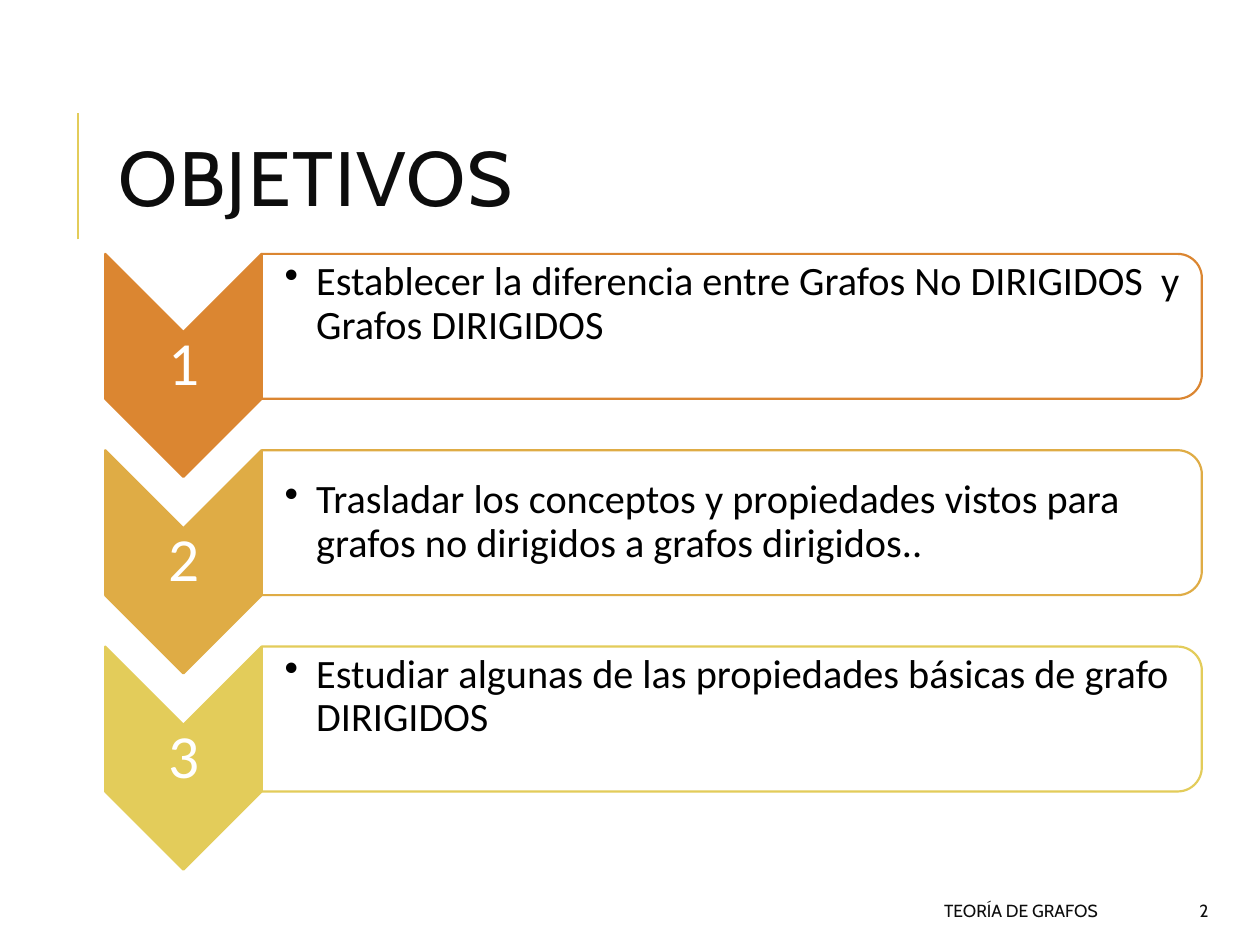
"""Build the slide of three numbered goals."""
import lxml.etree
import pptx
import pptx.dml.color
import pptx.enum.shapes
import pptx.enum.text
import pptx.oxml.ns
import pptx.util

Pt = pptx.util.Pt
Align = pptx.enum.text.PP_ALIGN
Anchor = pptx.enum.text.MSO_ANCHOR
Kind = pptx.enum.shapes.MSO_SHAPE

HUES = {"orange": "DB8631", "amber": "DFAC45", "yellow": "E3CC5A",
        "white": "FFFFFF", "ink": "0D0D0D", "black": "000000"}
GOALS = [
    ("orange", Anchor.TOP, "Establecer la diferencia entre Grafos No DIRIGIDOS  y Grafos DIRIGIDOS"),
    ("amber", Anchor.MIDDLE, "Trasladar los conceptos y propiedades vistos para grafos no dirigidos a grafos dirigidos.."),
    ("yellow", Anchor.TOP, "Estudiar algunas de las propiedades básicas de grafo DIRIGIDOS"),
]
PITCH = 112.2


def tint(name):
    """Return the named colour."""
    return pptx.dml.color.RGBColor.from_string(HUES[name])


def apply(target, values):
    """Set each attribute of the target from a dict."""
    for name, value in values.items():
        setattr(target, name, value)


def add_tag(parent, tag, **attrs):
    """Append a drawing element with its attributes."""
    return lxml.etree.SubElement(parent, pptx.oxml.ns.qn(tag), attrs)


def add_text(slide, box, text, font, hue, para, frame=None):
    """Add a text box with one paragraph and return the paragraph."""
    body = slide.shapes.add_textbox(*map(Pt, box)).text_frame
    apply(body, {"word_wrap": True, "vertical_anchor": Anchor.MIDDLE, **(frame or {})})
    line = body.paragraphs[0]
    line.text = text
    apply(line, para)
    run = line.runs[0].font
    apply(run, font)
    run.color.rgb = tint(hue)
    return line


def add_block(slide, kind, box, fill, edge):
    """Add a preset shape turned a quarter to the right."""
    block = slide.shapes.add_shape(kind, *map(Pt, box))
    block.rotation = 90
    block.shadow.inherit = False
    block.fill.solid()
    block.fill.fore_color.rgb = tint(fill)
    block.line.color.rgb = tint(edge)
    block.line.width = Pt(1.25)


def add_rule(slide, x, top, end):
    """Add the upright rule beside the title."""
    rule = slide.shapes.add_connector(
        pptx.enum.shapes.MSO_CONNECTOR.STRAIGHT, Pt(x), Pt(end), Pt(x), Pt(top))
    rule.line.color.rgb = tint("yellow")
    rule.line.width = Pt(1.5)
    add_tag(rule.element.spPr, "a:effectLst")


def add_goal(slide, order, hue, anchor, text):
    """Add one goal: chevron, number, panel and bullet."""
    drop = order * PITCH
    inset = {"margin_left": Pt(1.44), "margin_right": Pt(1.44),
             "margin_top": Pt(1.44), "margin_bottom": Pt(1.44)}
    add_block(slide, Kind.CHEVRON, (41.04, 164.2 + drop, 127.5, 89.28), hue, hue)
    add_text(slide, (60.48, 189.9 + drop, 89.28, 38.2), str(order + 1),
             {"name": "Calibri", "size": Pt(35)}, "white",
             {"alignment": Align.CENTER, "line_spacing": 0.9}, inset)
    add_block(slide, Kind.ROUND_2_SAME_RECTANGLE,
              (376.8, -82.08 + drop, 82.8, 537.12), "white", hue)
    if anchor == Anchor.TOP:
        inset["margin_top"] = 0
    line = add_text(slide, (149.76, 149.04 + drop, 532.8, 74.88), text,
                    {"name": "Calibri", "size": Pt(23)}, "black",
                    {"line_spacing": 0.9, "level": 1},
                    {**inset, "margin_left": Pt(12.96), "vertical_anchor": anchor})
    props = line._p.get_or_add_pPr()
    props.set("marL", str(Pt(18)))
    props.set("indent", str(-Pt(18)))
    add_tag(props, "a:buChar", char="•")


def main():
    """Build and save the slide."""
    deck = pptx.Presentation()
    apply(deck, {"slide_width": Pt(720), "slide_height": Pt(540)})
    slide = deck.slides.add_slide(deck.slide_layouts[6])
    add_rule(slide, 44.64, 64.8, 136.8)
    title = add_text(slide, (60.48, 46.08, 573.84, 118.08), "OBJETIVOS",
                     {"name": "Cabin", "size": Pt(44)}, "ink", {"line_spacing": 0.8})
    title.runs[0].font._element.set("spc", "100")
    for order, goal in enumerate(GOALS):
        add_goal(slide, order, *goal)
    for left, width, text in ((285.84, 348.48, "TEORÍA DE GRAFOS"), (640.08, 57.6, "2")):
        add_text(slide, (left, 509.76, width, 21.6), text,
                 {"name": "Cabin", "size": Pt(10)}, "ink", {"alignment": Align.RIGHT})
    deck.save("out.pptx")


if __name__ == "__main__":
    main()
